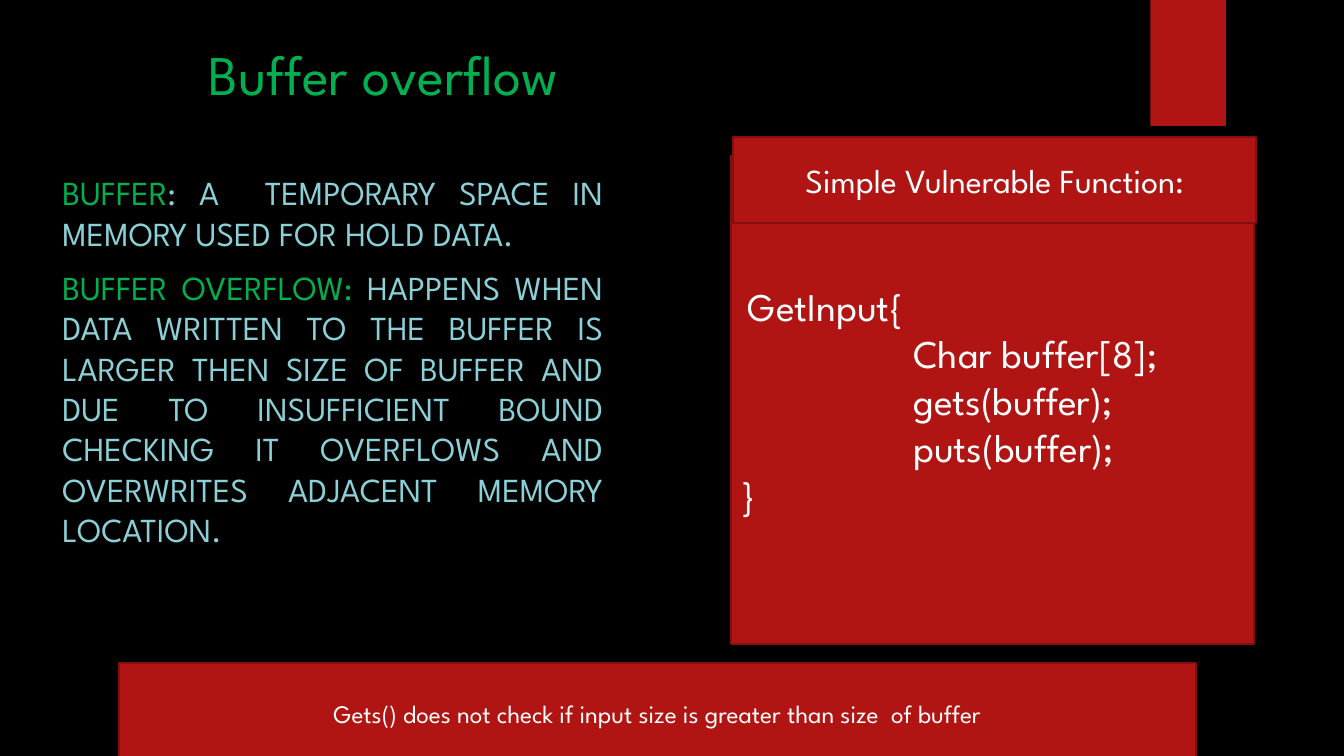
from pptx import Presentation
from pptx.dml.color import RGBColor
from pptx.enum.shapes import MSO_SHAPE
from pptx.enum.text import MSO_ANCHOR, PP_ALIGN
from pptx.util import Inches, Pt

RECTANGLE = MSO_SHAPE.RECTANGLE
TOP, MIDDLE, BOTTOM = MSO_ANCHOR.TOP, MSO_ANCHOR.MIDDLE, MSO_ANCHOR.BOTTOM
LEFT, CENTER, JUSTIFY = PP_ALIGN.LEFT, PP_ALIGN.CENTER, PP_ALIGN.JUSTIFY

FONT = "League Spartan"
BLACK, WHITE = "000000", "FFFFFF"
RED, DARK_RED = "B01513", "82100E"
GREEN, AQUA = "00B050", "8AD0D6"

DEFINITIONS = [
    ("BUFFER", ": A  TEMPORARY SPACE IN MEMORY USED FOR HOLD DATA."),
    ("BUFFER OVERFLOW:",
     " HAPPENS WHEN DATA WRITTEN TO THE BUFFER IS LARGER THEN SIZE OF BUFFER"
     " AND DUE TO INSUFFICIENT BOUND CHECKING IT OVERFLOWS AND OVERWRITES"
     " ADJACENT MEMORY LOCATION."),
]
CODE = [
    (0.07, "GetInput{"),
    (1.71, "Char buffer[8];"),
    (1.71, "gets(buffer);"),
    (1.71, "puts(buffer);"),
    (0, "}"),
]


def color(value):
    return RGBColor.from_string(value)


def apply_format(target, values):
    for name, value in values.items():
        setattr(target, name, value)


def write(frame, paragraphs, size, anchor=MIDDLE, align=CENTER, space=0):
    apply_format(frame, {"word_wrap": True, "vertical_anchor": anchor})
    for index, (indent, spans) in enumerate(paragraphs):
        para = frame.paragraphs[0] if index == 0 else frame.add_paragraph()
        apply_format(para, {"alignment": align, "space_before": Pt(space)})
        if indent:
            properties = para._p.get_or_add_pPr()
            properties.set("marL", str(Inches(indent)))
            properties.set("indent", "0")
        for text, hue in spans:
            span = para.add_run()
            span.text = text
            apply_format(span.font, {"name": FONT, "size": Pt(size)})
            span.font.color.rgb = color(hue)


def add_text(page, box, paragraphs, size, **layout):
    holder = page.shapes.add_textbox(*map(Inches, box))
    write(holder.text_frame, paragraphs, size, **layout)


def add_panel(page, box, outlined=True):
    panel = page.shapes.add_shape(RECTANGLE, *map(Inches, box))
    panel.shadow.inherit = False
    panel.fill.solid()
    panel.fill.fore_color.rgb = color(RED)
    if outlined:
        panel.line.color.rgb = color(DARK_RED)
        panel.line.width = Pt(1.5)
    else:
        panel.line.fill.background()
    return panel.text_frame


def add_title(page, box):
    add_text(page, box, [(0, [("Buffer overflow", GREEN)])], 40,
             anchor=BOTTOM, align=LEFT)


def add_definitions(page, box):
    paragraphs = [(0, [(term, GREEN), (meaning, AQUA)])
                  for term, meaning in DEFINITIONS]
    add_text(page, box, paragraphs, 24, anchor=TOP, align=JUSTIFY, space=10)


def add_code_example(page, box):
    left, top, width, height = box
    code = add_panel(page, (left, top + 0.19, width, height - 0.19))
    write(code, [(indent, [(line, WHITE)]) for indent, line in CODE], 28,
          align=JUSTIFY)
    heading = add_panel(page, (left + 0.02, top, width, 0.85))
    write(heading, [(0, [("Simple Vulnerable Function:", WHITE)])], 24)


def add_warning(page, box):
    message = "Gets() does not check if input size is greater than size  of buffer"
    write(add_panel(page, box), [(0, [(message, WHITE)])], 18)


def build_slide(deck):
    page = deck.slides.add_slide(deck.slide_layouts[6])
    page.background.fill.solid()
    page.background.fill.fore_color.rgb = color(BLACK)
    add_panel(page, (11.41, 0, 0.75, 1.25), outlined=False)
    add_title(page, (1.97, 0.24, 9.55, 0.87))
    add_definitions(page, (0.52, 1.66, 5.56, 4.36))
    add_code_example(page, (7.25, 1.36, 5.19, 5.03))
    add_warning(page, (1.18, 6.58, 10.68, 1))


def main():
    deck = Presentation()
    apply_format(deck, {"slide_width": Inches(13.33),
                        "slide_height": Inches(7.5)})
    build_slide(deck)
    deck.save("out.pptx")


if __name__ == "__main__":
    main()
